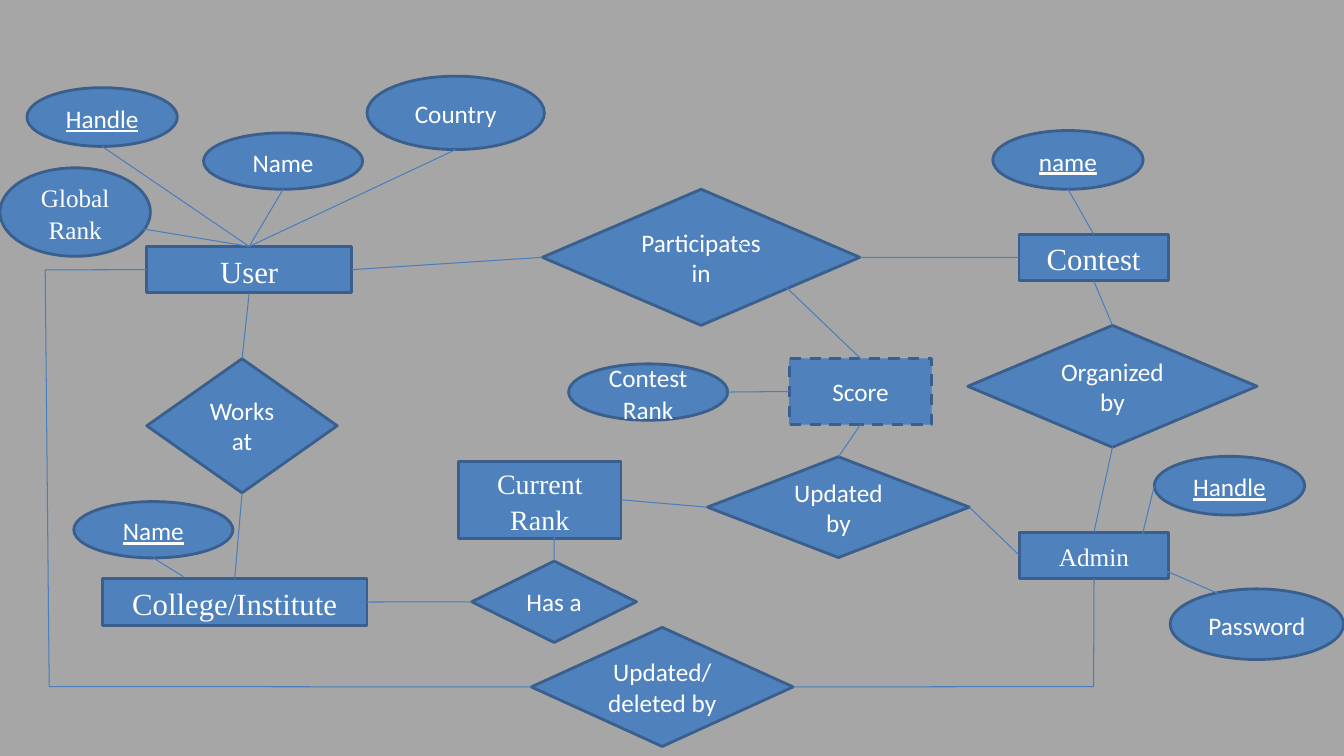
from dataclasses import dataclass
from enum import Enum
from typing import Union

import lxml.etree
import pptx
import pptx.dml.color
import pptx.enum.dml
import pptx.enum.shapes
import pptx.enum.text
import pptx.oxml.ns
import pptx.util

Cm = pptx.util.Cm
COLORS = {"page": "A6A6A6", "fill": "4F81BD", "outline": "3A5F8C",
          "link": "4B7EBC", "text": "FFFFFF"}
SERIF, SANS = "Times New Roman", "Calibri"


class Kind(Enum):
    ENTITY = pptx.enum.shapes.MSO_SHAPE.RECTANGLE
    ATTRIBUTE = pptx.enum.shapes.MSO_SHAPE.OVAL
    RELATION = pptx.enum.shapes.MSO_SHAPE.FLOWCHART_DECISION


class Side(Enum):
    TOP = 0
    LEFT = 1
    BOTTOM = 2
    RIGHT = 3


@dataclass(frozen=True)
class Node:
    """A labelled shape of the diagram; lengths in centimetres."""
    key: str
    text: str
    kind: Kind
    left: float
    top: float
    width: float
    height: float
    size: int = 18
    font: str = SANS
    underline: bool = False
    dashed: bool = False

    def side_point(self, side: Side) -> tuple[float, float]:
        across = {Side.LEFT: 0, Side.RIGHT: 1}.get(side, 0.5)
        down = {Side.TOP: 0, Side.BOTTOM: 1}.get(side, 0.5)
        return self.left + across * self.width, self.top + down * self.height


@dataclass(frozen=True)
class Port:
    """The middle of one side of a node."""
    key: str
    side: Side


End = Union[Port, tuple[float, float]]


@dataclass(frozen=True)
class Link:
    start: End
    finish: End


ENTITY, ATTRIBUTE, RELATION = Kind
TOP, LEFT, BOTTOM, RIGHT = Side

NODES = [
    # User and its attributes
    Node("user", "User", ENTITY, 3.69, 6.21, 5.18, 1.17, 22, SERIF),
    Node("user name", "Name", ATTRIBUTE, 5.13, 3.35, 4.01, 1.42),
    Node("user handle", "Handle", ATTRIBUTE, 0.68, 2.21, 3.79, 1.48, underline=True),
    Node("country", "Country", ATTRIBUTE, 9.25, 1.92, 4.47, 1.85),
    Node("global rank", "Global Rank", ATTRIBUTE, 0, 4.23, 3.79, 2.23, font=SERIF),
    # College and rank
    Node("college", "College/Institute", ENTITY, 2.58, 14.58, 6.67, 1.18, 22, SERIF),
    Node("college name", "Name", ATTRIBUTE, 1.86, 12.64, 4.01, 1.42, underline=True),
    Node("current rank", "Current Rank", ENTITY, 11.56, 11.62, 4.09, 1.95, 20, SERIF),
    # Contest, score and admin
    Node("contest", "Contest", ENTITY, 25.68, 5.9, 3.76, 1.17, 22, SERIF),
    Node("contest name", "name", ATTRIBUTE, 25.02, 3.29, 3.79, 1.48, underline=True),
    Node("score", "Score", ENTITY, 19.89, 9.03, 3.59, 1.67, dashed=True),
    Node("contest rank", "Contest Rank", ATTRIBUTE, 14.33, 9.17, 4.01, 1.42),
    Node("admin", "Admin", ENTITY, 25.69, 13.41, 3.76, 1.17, font=SERIF),
    Node("admin handle", "Handle", ATTRIBUTE, 29.09, 11.5, 3.79, 1.48, underline=True),
    Node("password", "Password", ATTRIBUTE, 29.49, 14.84, 4.37, 1.78),
    # Relationships
    Node("participates", "Participates in", RELATION, 13.67, 4.77, 8, 3.43),
    Node("works", "Works at", RELATION, 3.7, 9.04, 4.8, 3.38),
    Node("updated", "Updated by", RELATION, 17.83, 11.51, 6.6, 2.54),
    Node("deleted", "Updated/deleted by", RELATION, 13.39, 15.81, 6.6, 3),
    Node("has", "Has a", RELATION, 11.89, 14.14, 4.15, 2.05),
    Node("organized", "Organized by", RELATION, 24.39, 8.2, 7.29, 3.07),
]

# Bends of the long route from User to Admin
USER_BEND, FLOOR_BEND, ADMIN_BEND = (1.14, 6.8), (1.24, 17.3), (27.56, 17.3)

LINKS = [
    Link(Port("user handle", BOTTOM), Port("user", TOP)),
    Link(Port("country", BOTTOM), Port("user", TOP)),
    Link(Port("user name", BOTTOM), Port("user", TOP)),
    Link((3.43, 5.74), Port("user", TOP)),
    Link(Port("user", RIGHT), Port("participates", LEFT)),
    Link(Port("participates", RIGHT), Port("contest", LEFT)),
    Link((18.59, 6.07), Port("score", TOP)),
    Link(Port("contest rank", RIGHT), Port("score", LEFT)),
    Link(Port("score", BOTTOM), Port("updated", TOP)),
    Link(Port("current rank", RIGHT), Port("updated", LEFT)),
    Link(Port("updated", RIGHT), Port("admin", LEFT)),
    Link((13.97, 12.98), Port("has", TOP)),
    Link(Port("college", RIGHT), Port("has", LEFT)),
    Link(Port("user", BOTTOM), Port("works", TOP)),
    Link(Port("works", BOTTOM), Port("college", TOP)),
    Link(Port("college name", BOTTOM), (4.62, 14.53)),
    Link(Port("contest name", BOTTOM), Port("contest", TOP)),
    Link(Port("contest", BOTTOM), Port("organized", TOP)),
    Link(Port("organized", BOTTOM), Port("admin", TOP)),
    Link(Port("admin handle", LEFT), (28.78, 13.51)),
    Link((29.26, 14.33), (30.71, 14.96)),
    Link(Port("user", LEFT), USER_BEND),
    Link(USER_BEND, FLOOR_BEND),
    Link(FLOOR_BEND, Port("deleted", LEFT)),
    Link(Port("deleted", RIGHT), ADMIN_BEND),
    Link(ADMIN_BEND, Port("admin", BOTTOM)),
]


def color(name: str) -> pptx.dml.color.RGBColor:
    return pptx.dml.color.RGBColor.from_string(COLORS[name])


def write_text(box, text: str, *, size: int, font: str, underline: bool,
               spaced: bool) -> None:
    frame = box.text_frame
    frame.word_wrap = True
    frame.vertical_anchor = pptx.enum.text.MSO_ANCHOR.MIDDLE
    para = frame.paragraphs[0]
    para.alignment = pptx.enum.text.PP_ALIGN.CENTER
    if spaced:
        para.line_spacing = 1.07
        para.space_after = pptx.util.Pt(8)
    span = para.add_run()
    span.text = text
    span.font.size = pptx.util.Pt(size)
    span.font.name = font
    span.font.color.rgb = color("text")
    if underline:
        span.font.underline = True


def draw_node(page, node: Node):
    box = page.shapes.add_shape(node.kind.value, Cm(node.left), Cm(node.top),
                                Cm(node.width), Cm(node.height))
    box.shadow.inherit = False
    box.fill.solid()
    box.fill.fore_color.rgb = color("fill")
    box.line.color.rgb = color("outline")
    box.line.width = pptx.util.Pt(2)
    if node.dashed:
        box.line.dash_style = pptx.enum.dml.MSO_LINE.DASH
    write_text(box, node.text, size=node.size, font=node.font,
               underline=node.underline,
               spaced=node.kind is not RELATION and not node.dashed)
    return box


def draw_link(page, link: Link, nodes: dict[str, Node], boxes: dict) -> None:
    ends = (link.start, link.finish)
    points = [nodes[end.key].side_point(end.side) if isinstance(end, Port) else end
              for end in ends]
    line = page.shapes.add_connector(
        pptx.enum.shapes.MSO_CONNECTOR.STRAIGHT,
        *(Cm(value) for point in points for value in point))
    # Ovals number their sites differently, so only the other kinds are joined
    for end, join in zip(ends, (line.begin_connect, line.end_connect)):
        if isinstance(end, Port) and nodes[end.key].kind is not ATTRIBUTE:
            join(boxes[end.key], end.side.value)
    line.line.color.rgb = color("link")
    line.line.width = pptx.util.Pt(0.75)
    lxml.etree.SubElement(line._element.spPr, pptx.oxml.ns.qn("a:effectLst"))


def main() -> None:
    deck = pptx.Presentation()
    deck.slide_width, deck.slide_height = Cm(33.87), Cm(19.05)
    page = deck.slides.add_slide(deck.slide_layouts[6])
    page.background.fill.solid()
    page.background.fill.fore_color.rgb = color("page")

    nodes = {node.key: node for node in NODES}
    boxes = {key: draw_node(page, node) for key, node in nodes.items()}
    for link in LINKS:
        draw_link(page, link, nodes, boxes)
    deck.save("out.pptx")


if __name__ == "__main__":
    main()
